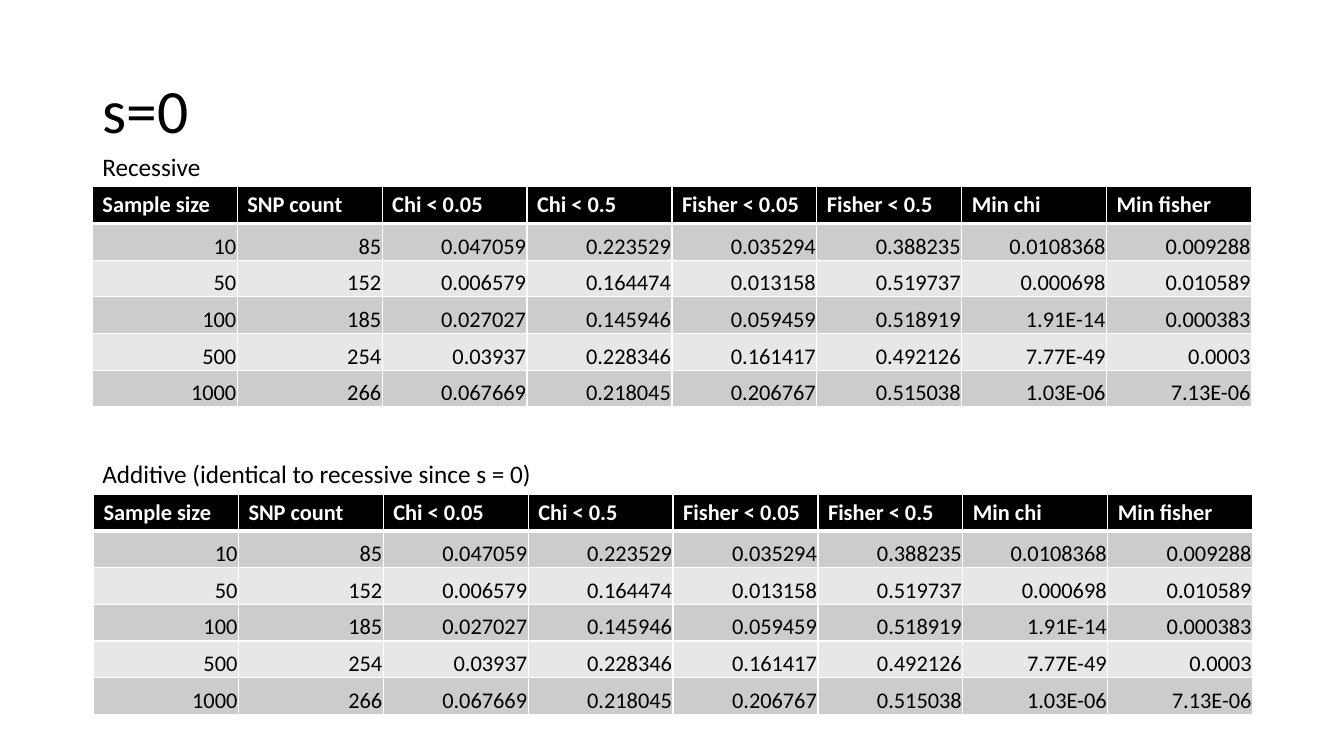
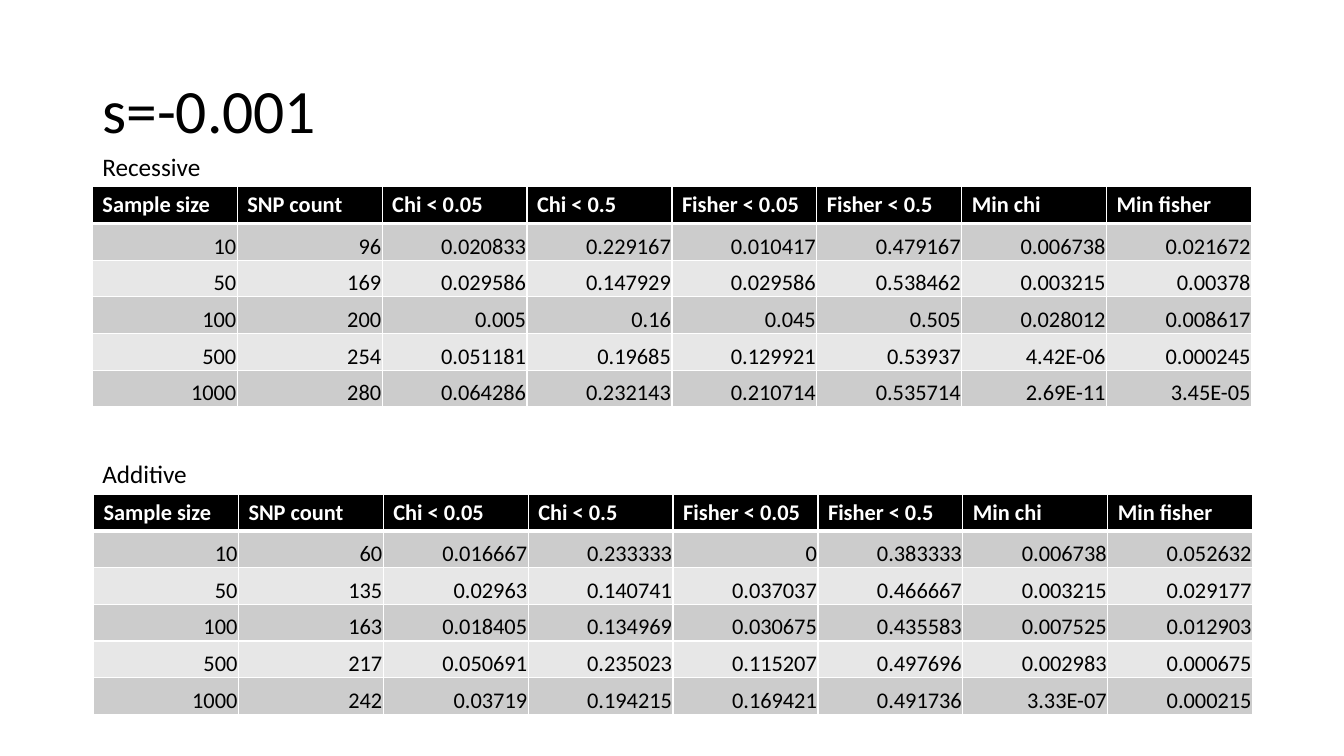
"""Build two slides of recessive and additive SNP test results."""
from dataclasses import dataclass

from lxml.etree import SubElement
from pptx import Presentation
from pptx.dml.color import RGBColor
from pptx.enum.text import MSO_ANCHOR, MSO_AUTO_SIZE, PP_ALIGN
from pptx.oxml.ns import qn
from pptx.slide import Slide
from pptx.table import _Cell
from pptx.text.text import TextFrame
from pptx.util import Pt

FONT = "Calibri"
BLACK, WHITE = "000000", "FFFFFF"
BANDS = ("CCCCCC", "E7E7E7")
LEFT, WIDTH = 66, 828
ROW_H, LABEL_H = 26.2, 29
HEADERS = ("Sample size", "SNP count", "Chi < 0.05", "Chi < 0.5",
           "Fisher < 0.05", "Fisher < 0.5", "Min chi", "Min fisher")
SAMPLE_SIZES = ("10", "50", "100", "500", "1000")


@dataclass(frozen=True)
class Results:
    label: str
    label_w: float
    left: float
    top: float
    rows: tuple[str, ...]


@dataclass(frozen=True)
class Page:
    title: str
    tables: tuple[Results, ...]


def recessive(rows: tuple[str, ...]) -> Results:
    return Results("Recessive", 85.7, LEFT, 133.2, rows)


def additive(label: str, label_w: float, rows: tuple[str, ...]) -> Results:
    return Results(label, label_w, LEFT + 0.8, 352.8, rows)


NEUTRAL = (
    "85 0.047059 0.223529 0.035294 0.388235 0.0108368 0.009288",
    "152 0.006579 0.164474 0.013158 0.519737 0.000698 0.010589",
    "185 0.027027 0.145946 0.059459 0.518919 1.91E-14 0.000383",
    "254 0.03937 0.228346 0.161417 0.492126 7.77E-49 0.0003",
    "266 0.067669 0.218045 0.206767 0.515038 1.03E-06 7.13E-06",
)
SELECTED_RECESSIVE = (
    "96 0.020833 0.229167 0.010417 0.479167 0.006738 0.021672",
    "169 0.029586 0.147929 0.029586 0.538462 0.003215 0.00378",
    "200 0.005 0.16 0.045 0.505 0.028012 0.008617",
    "254 0.051181 0.19685 0.129921 0.53937 4.42E-06 0.000245",
    "280 0.064286 0.232143 0.210714 0.535714 2.69E-11 3.45E-05",
)
SELECTED_ADDITIVE = (
    "60 0.016667 0.233333 0 0.383333 0.006738 0.052632",
    "135 0.02963 0.140741 0.037037 0.466667 0.003215 0.029177",
    "163 0.018405 0.134969 0.030675 0.435583 0.007525 0.012903",
    "217 0.050691 0.235023 0.115207 0.497696 0.002983 0.000675",
    "242 0.03719 0.194215 0.169421 0.491736 3.33E-07 0.000215",
)
PAGES = (
    Page("s=0", (
        recessive(NEUTRAL),
        additive("Additive (identical to recessive since s = 0)", 324.7, NEUTRAL),
    )),
    Page("s=-0.001", (
        recessive(SELECTED_RECESSIVE),
        additive("Additive", 75.6, SELECTED_ADDITIVE),
    )),
)


def rgb(color: str) -> RGBColor:
    return RGBColor.from_string(color)


def write(tf: TextFrame, text: str, *, size: float, color: str = BLACK,
          bold: bool = False, align: PP_ALIGN = PP_ALIGN.LEFT,
          spacing: float = 1.0) -> None:
    p = tf.paragraphs[0]
    p.alignment, p.line_spacing = align, spacing
    r = p.add_run()
    r.text = text
    r.font.name, r.font.size, r.font.bold = FONT, Pt(size), bold
    r.font.color.rgb = rgb(color)


def add_title(s: Slide, text: str) -> None:
    tf = s.shapes.add_textbox(Pt(LEFT), Pt(28.8), Pt(WIDTH), Pt(104.4)).text_frame
    tf.word_wrap = True
    tf.vertical_anchor = MSO_ANCHOR.MIDDLE
    write(tf, text, size=44, spacing=0.9)


def add_label(s: Slide, results: Results) -> None:
    sp = s.shapes.add_textbox(Pt(LEFT), Pt(results.top - LABEL_H),
                              Pt(results.label_w), Pt(LABEL_H))
    tf = sp.text_frame
    tf.word_wrap = False
    tf.auto_size = MSO_AUTO_SIZE.SHAPE_TO_FIT_TEXT
    write(tf, results.label, size=18)


def set_borders(cell: _Cell, **widths: float) -> None:
    tc_pr = cell._tc.get_or_add_tcPr()
    for side, width in widths.items():
        ln = SubElement(tc_pr, qn(f"a:ln{side}"), w=str(Pt(width)))
        SubElement(SubElement(ln, qn("a:solidFill")), qn("a:srgbClr"), val=WHITE)


def format_cell(cell: _Cell, text: str, row: int) -> None:
    header = row == 0
    set_borders(cell, L=1, R=1, T=3 if row == 1 else 1, B=3 if header else 1)
    cell.fill.solid()
    cell.fill.fore_color.rgb = rgb(BLACK if header else BANDS[(row - 1) % 2])
    if header:
        write(cell.text_frame, text, size=16, color=WHITE, bold=True)
        return
    cell.margin_left = cell.margin_right = cell.margin_top = Pt(0.75)
    cell.margin_bottom = Pt(0)
    cell.vertical_anchor = MSO_ANCHOR.BOTTOM
    write(cell.text_frame, text, size=16, align=PP_ALIGN.RIGHT)


def add_results(s: Slide, results: Results) -> None:
    grid = [HEADERS] + [(size, *row.split())
                        for size, row in zip(SAMPLE_SIZES, results.rows)]
    table = s.shapes.add_table(len(grid), len(HEADERS), Pt(results.left),
                               Pt(results.top), Pt(WIDTH),
                               Pt(ROW_H * len(grid))).table
    for i, values in enumerate(grid):
        for j, text in enumerate(values):
            format_cell(table.cell(i, j), text, i)


def main() -> None:
    prs = Presentation()
    prs.slide_width, prs.slide_height = Pt(960), Pt(540)
    for page in PAGES:
        s = prs.slides.add_slide(prs.slide_layouts[6])
        add_title(s, page.title)
        for results in page.tables:
            add_results(s, results)
        for results in page.tables:
            add_label(s, results)
    prs.save("out.pptx")


main()
